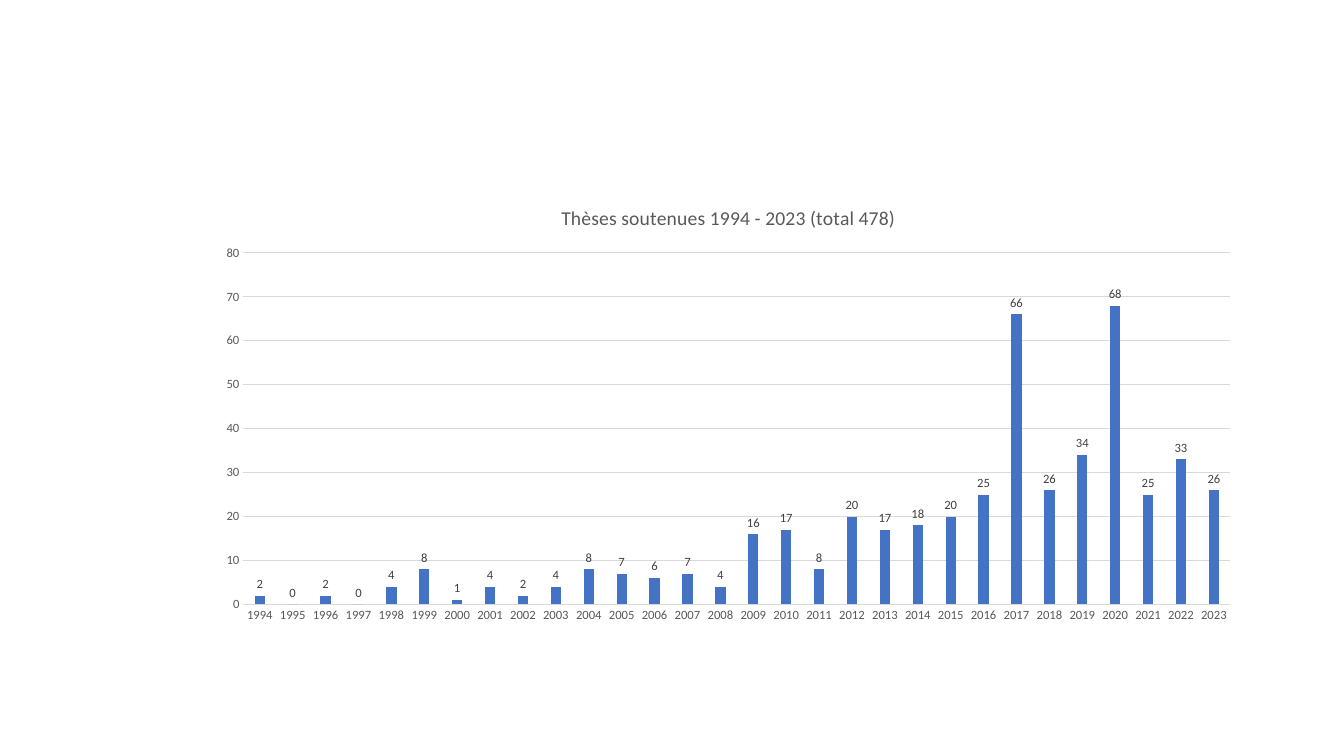
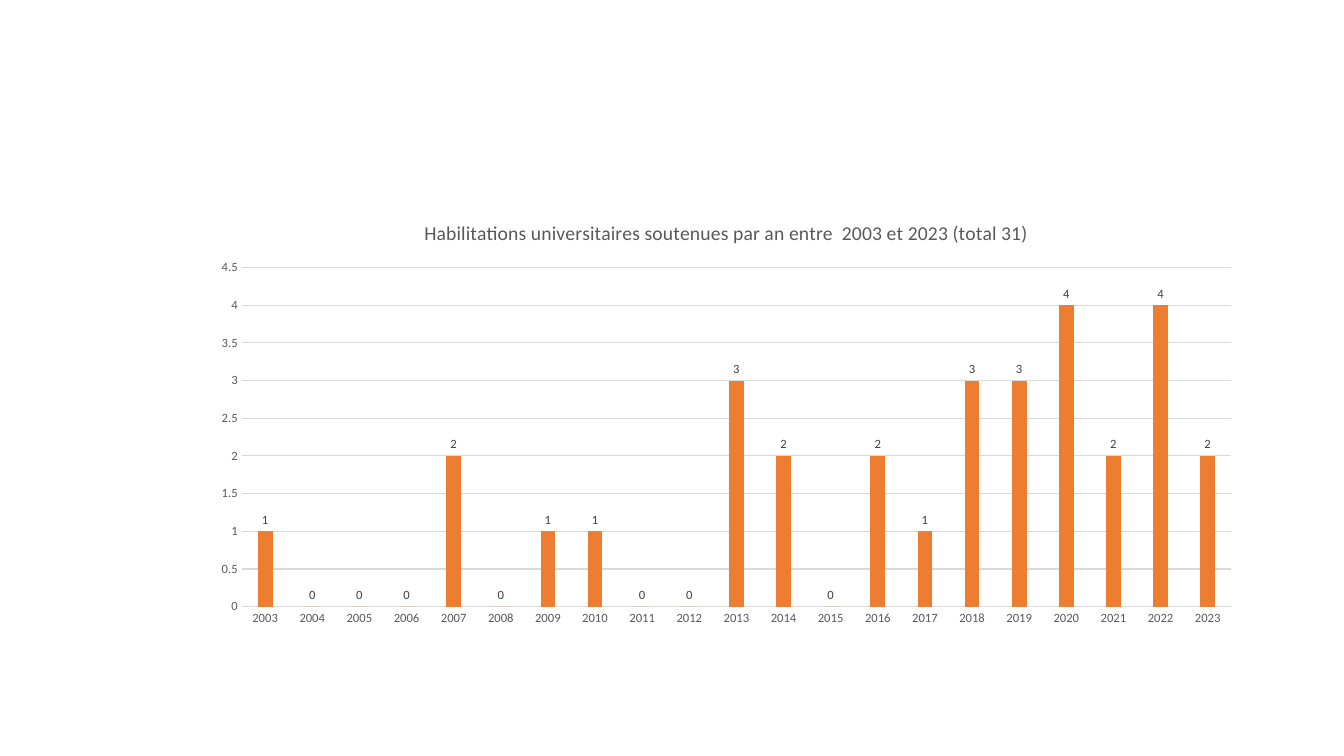
from pptx import Presentation
from pptx.chart.data import CategoryChartData as Data
from pptx.dml.color import RGBColor as Rgb
from pptx.enum.chart import XL_CHART_TYPE as Kind, XL_LABEL_POSITION as Pos, XL_TICK_MARK as Tick
from pptx.util import Inches, Pt

FACE = "Calibri"
COLORS = {
    "back": "FFFFFF",
    "text": "595959",
    "label": "404040",
    "rule": "D9D9D9",
    "blue": "4472C4",
    "orange": "ED7D31",
}
THESES = [2, 0, 2, 0, 4, 8, 1, 4, 2, 4, 8, 7, 6, 7, 4,
          16, 17, 8, 20, 17, 18, 20, 25, 66, 26, 34, 68, 25, 33, 26]
DEGREES = [1, 0, 0, 0, 2, 0, 1, 1, 0, 0, 3, 2, 0, 2, 1, 3, 3, 4, 2, 4, 2]


def color(name):
    """Return the named colour."""
    return Rgb.from_string(COLORS[name])


def style(font, size, tint):
    """Format a font."""
    font.name = FACE
    font.size = Pt(size)
    font.bold = False
    font.color.rgb = color(tint)


def rule(line):
    """Draw a thin grey line."""
    line.width = Pt(0.75)
    line.color.rgb = color("rule")


def set_title(chart, text):
    """Give the chart its title."""
    chart.has_title = True
    frame = chart.chart_title.text_frame
    frame.text = text
    style(frame.paragraphs[0].runs[0].font, 14, "text")


def set_axes(chart, top, step):
    """Format both axes and the value scale."""
    years, scale = chart.category_axis, chart.value_axis
    for axis in (years, scale):
        axis.major_tick_mark = axis.minor_tick_mark = Tick.NONE
        style(axis.tick_labels.font, 9, "text")
    rule(years.format.line)
    years.has_major_gridlines = False
    scale.format.line.fill.background()
    scale.has_major_gridlines = True
    rule(scale.major_gridlines.format.line)
    scale.minimum_scale, scale.maximum_scale, scale.major_unit = 0, top, step


def set_bars(chart, tint):
    """Format the bars and their labels."""
    plot = chart.plots[0]
    plot.gap_width, plot.overlap = 219, -27
    plot.vary_by_categories = False
    bars = plot.series[0]
    bars.invert_if_negative = False
    bars.format.fill.solid()
    bars.format.fill.fore_color.rgb = color(tint)
    labels = bars.data_labels
    labels.show_value = True
    labels.position = Pos.OUTSIDE_END
    style(labels.font, 9, "label")


def add_slide(deck, box, title, start, values, tint, top, step):
    """Add a slide with one yearly bar chart in the given box."""
    slide = deck.slides.add_slide(deck.slide_layouts[6])
    data = Data()
    data.categories = [str(start + i) for i in range(len(values))]
    data.add_series("Series 1", values)
    place = [Inches(n) for n in box]
    chart = slide.shapes.add_chart(Kind.COLUMN_CLUSTERED, *place, data).chart
    chart.has_legend = False
    chart.font.name, chart.font.size = FACE, Pt(10)
    set_title(chart, title)
    set_axes(chart, top, step)
    set_bars(chart, tint)


def main():
    """Build and save the deck."""
    deck = Presentation()
    deck.slide_width, deck.slide_height = Inches(13.33), Inches(7.5)
    fill = deck.slide_master.background.fill
    fill.solid()
    fill.fore_color.rgb = color("back")
    add_slide(deck, (2.04, 1.85, 10.37, 4.42),
              "Thèses soutenues 1994 - 2023 (total 478)",
              1994, THESES, "blue", 80, 10)
    add_slide(deck, (1.99, 2, 10.43, 4.29),
              "Habilitations universitaires soutenues par an entre  2003 et 2023 (total 31)",
              2003, DEGREES, "orange", 4.5, 0.5)
    deck.save("out.pptx")


if __name__ == "__main__":
    main()
